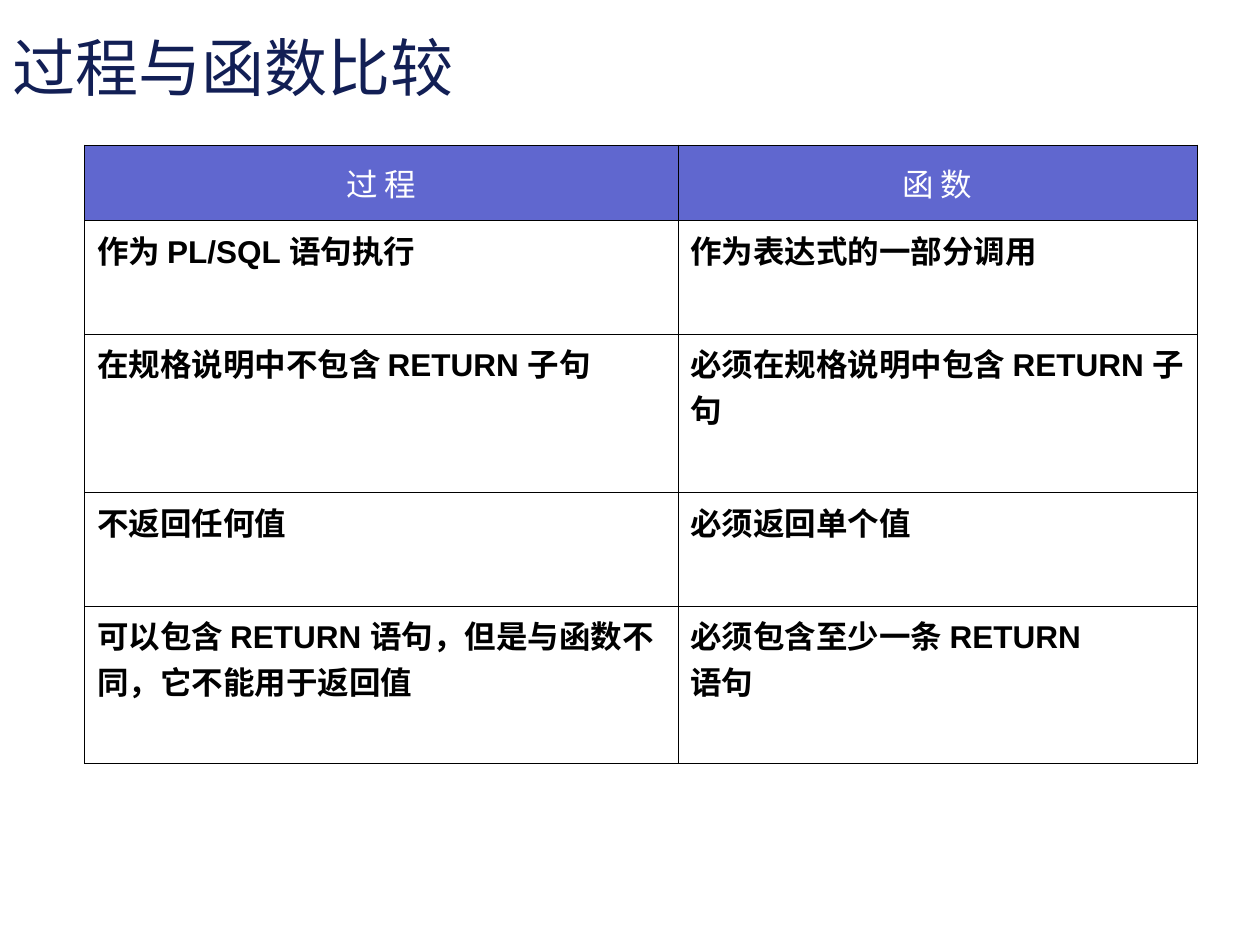
from lxml import etree
from pptx import Presentation
from pptx.dml.color import RGBColor
from pptx.enum.text import MSO_ANCHOR, PP_ALIGN
from pptx.oxml.ns import qn
from pptx.util import Inches, Pt

LEFT, CENTER = PP_ALIGN.LEFT, PP_ALIGN.CENTER
TOP, MIDDLE = MSO_ANCHOR.TOP, MSO_ANCHOR.MIDDLE
TITLE_ONLY = 5
WIDTH, HEIGHT = 10, 7.5
COLORS = {"title": "121F55", "header": "6067CF", "light": "FFFFFF", "dark": "000000"}
COLUMNS = [4.71, 4.12]
ROWS = [0.6, 0.9, 1.26, 0.9, 1.25]
COMPARISON = [
    ("过 程", "函 数"),
    ("作为 PL/SQL 语句执行", "作为表达式的一部分调用"),
    ("在规格说明中不包含 RETURN 子句", "必须在规格说明中包含 RETURN 子句"),
    ("不返回任何值", "必须返回单个值"),
    ("可以包含 RETURN 语句，但是与函数不同，它不能用于返回值", "必须包含至少一条 RETURN \v语句"),
]


class SlideBuilder:
    font = "Arial"
    title_size = 36
    body_size = 18
    border_width = 0.45

    def __init__(self, deck):
        self.page = deck.slides.add_slide(deck.slide_layouts[TITLE_ONLY])

    def style_text(self, frame, text, size, color, align, bold=False):
        frame.word_wrap = True
        para = frame.paragraphs[0]
        para.text = text
        para.alignment = align
        for span in para.runs:
            span.font.name = self.font
            span.font.size = Pt(size)
            span.font.bold = bold
            span.font.color.rgb = RGBColor.from_string(COLORS[color])

    def title(self, text, top, height):
        box = self.page.shapes.title
        box.left, box.top = 0, Inches(top * HEIGHT)
        box.width, box.height = Inches(WIDTH), Inches(height * HEIGHT)
        box.text_frame.vertical_anchor = MIDDLE
        self.style_text(box.text_frame, text, self.title_size, "title", LEFT)

    def borders(self, cell):
        properties = cell._tc.get_or_add_tcPr()
        for side in ("a:lnL", "a:lnR", "a:lnT", "a:lnB"):
            line = etree.SubElement(properties, qn(side), w=str(Pt(self.border_width)))
            fill = etree.SubElement(line, qn("a:solidFill"))
            etree.SubElement(fill, qn("a:srgbClr"), val=COLORS["dark"])

    def cell(self, cell, text, header):
        self.borders(cell)
        if header:
            cell.fill.solid()
            cell.fill.fore_color.rgb = RGBColor.from_string(COLORS["header"])
        else:
            cell.fill.background()
        cell.vertical_anchor = MIDDLE if header else TOP
        color, align = ("light", CENTER) if header else ("dark", LEFT)
        self.style_text(cell.text_frame, text, self.body_size, color, align, not header)

    def table(self, left, top, columns, rows, content):
        table = self.page.shapes.add_table(
            len(rows), len(columns), Inches(left * WIDTH), Inches(top * HEIGHT),
            Inches(sum(columns)), Inches(sum(rows))).table
        table.horz_banding = False
        for column, width in zip(table.columns, columns):
            column.width = Inches(width)
        for index, (row, height) in enumerate(zip(table.rows, rows)):
            row.height = Inches(height)
            for cell, text in zip(row.cells, content[index]):
                self.cell(cell, text, index == 0)


def main():
    deck = Presentation()
    deck.slide_width, deck.slide_height = Inches(WIDTH), Inches(HEIGHT)
    builder = SlideBuilder(deck)
    builder.title("过程与函数比较", 0.13 / HEIGHT, 0.79 / HEIGHT)
    builder.table(0.67 / WIDTH, 1.15 / HEIGHT, COLUMNS, ROWS, COMPARISON)
    deck.save("out.pptx")


if __name__ == "__main__":
    main()
